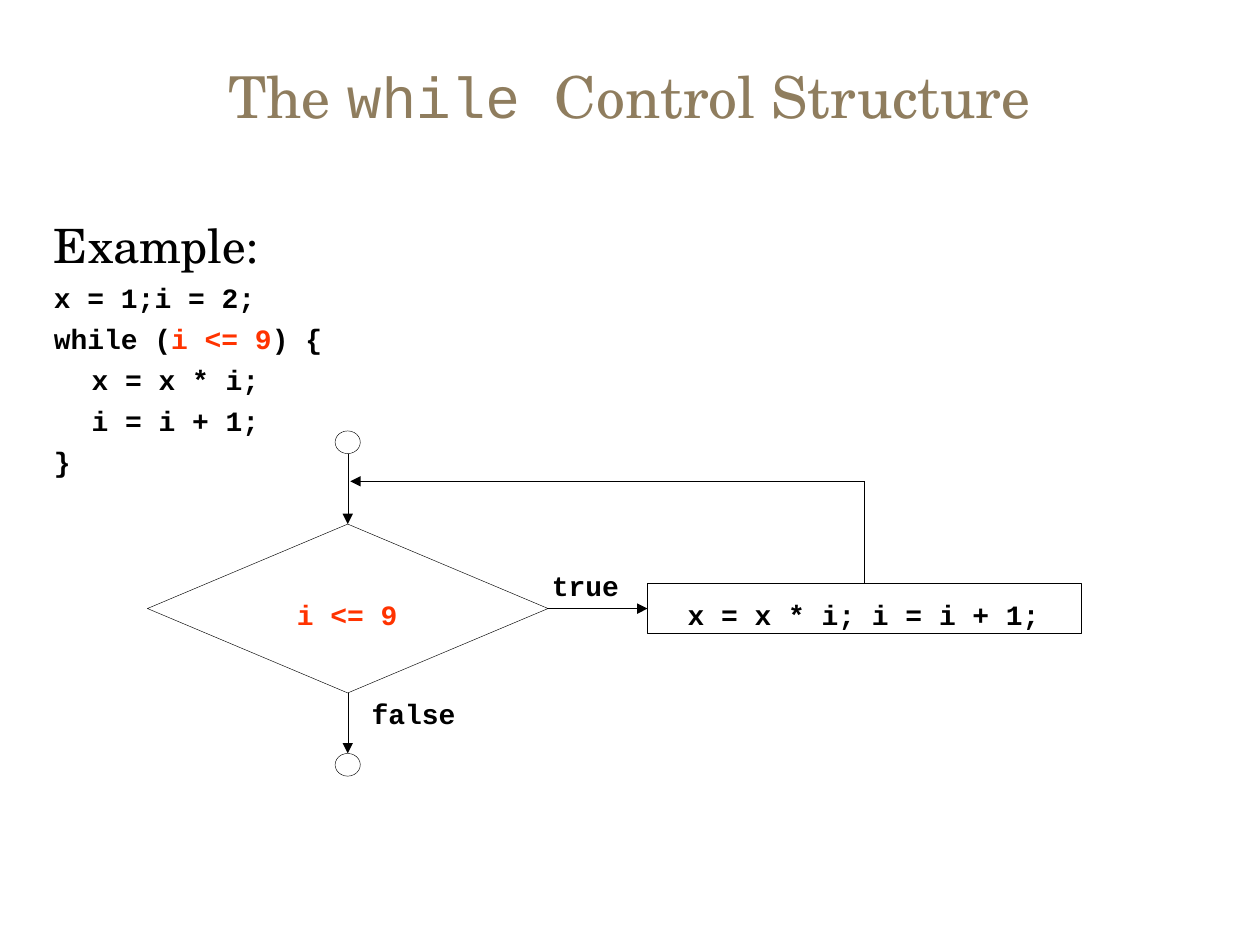
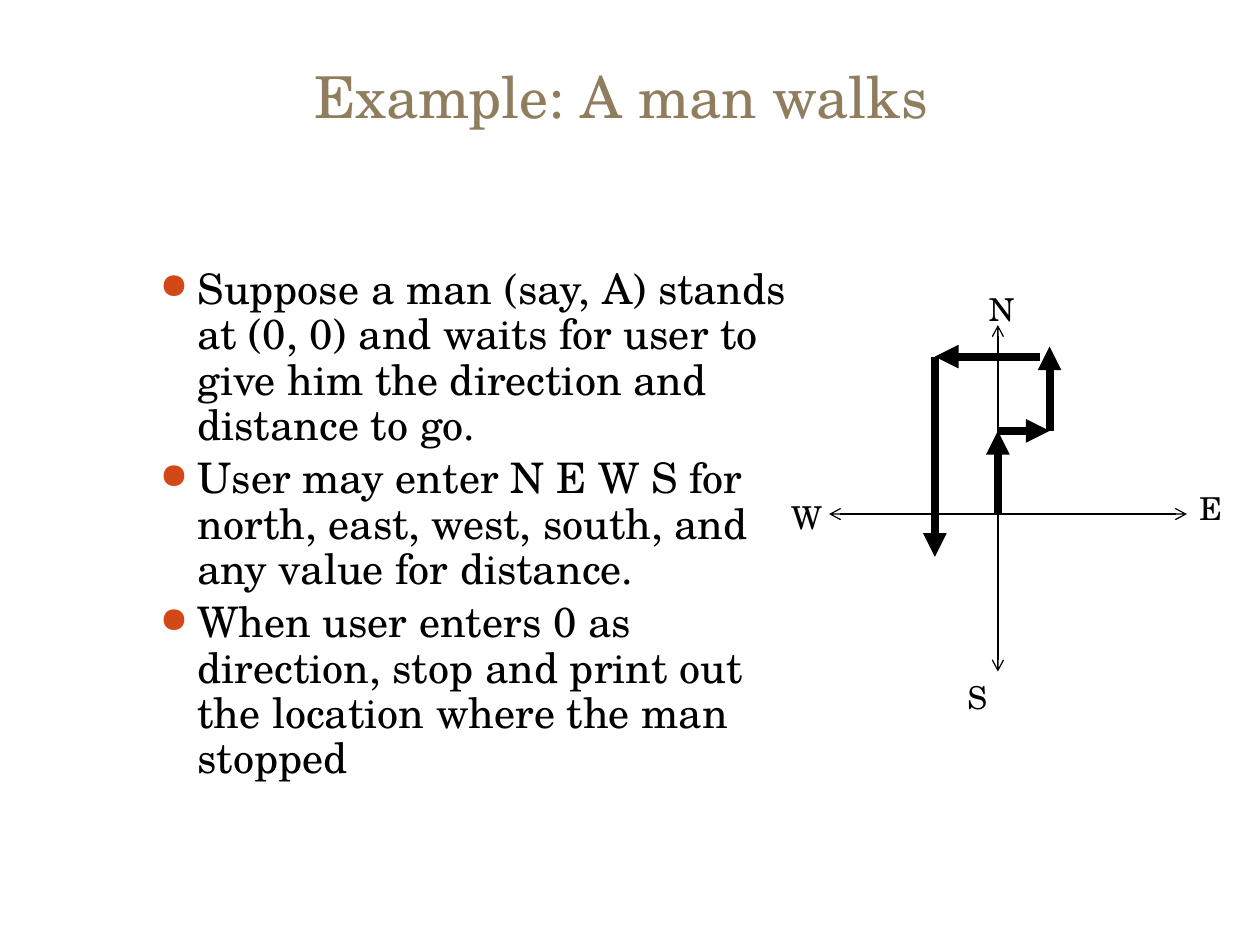
from lxml import etree
from pptx import Presentation
from pptx.dml.color import RGBColor
from pptx.enum.shapes import MSO_CONNECTOR, MSO_SHAPE
from pptx.enum.text import MSO_ANCHOR as Anchor, PP_ALIGN as Align
from pptx.oxml.ns import qn
from pptx.util import Inches, Pt

color = RGBColor.from_string
BLACK, WHITE, TITLE, ACCENT, BULLET = "000000", "FFFFFF", "8F7D5E", "FF3300", "D34817"
SERIF, MONO = "TeX Gyre Schola", "Courier New"

title_format = {"name": SERIF, "size": Pt(33)}
heading_format = {"name": SERIF, "size": Pt(27)}
body_format = {"name": SERIF, "size": Pt(24)}
compass_format = {"name": SERIF, "size": Pt(18)}
code_format = {"name": MONO, "size": Pt(16), "bold": True}
title_box = (0.33, 0.25, 9.33, 0.83)


def add_text(slide, box, paragraphs, margin=None, anchor=Anchor.TOP, **layout):
    """Each paragraph is a list of runs: (text, colour, font format)."""
    shape = slide.shapes.add_textbox(*map(Inches, box))
    frame = shape.text_frame
    frame.word_wrap = True
    frame.vertical_anchor = anchor
    if margin is not None:
        for side in ("left", "top", "right", "bottom"):
            setattr(frame, f"margin_{side}", Inches(margin))
    for index, runs in enumerate(paragraphs):
        paragraph = frame.add_paragraph() if index else frame.paragraphs[0]
        for name, value in layout.items():
            if index or name != "space_before":
                setattr(paragraph, name, value)
        for text, hex_color, font_format in runs:
            run = paragraph.add_run()
            run.text = text
            run.font.color.rgb = color(hex_color)
            for name, value in font_format.items():
                setattr(run.font, name, value)
    return frame


def add_line(slide, start, end, width, head=None, tail=None):
    line = slide.shapes.add_connector(
        MSO_CONNECTOR.STRAIGHT, *map(Inches, (*start, *end)))
    line.line.color.rgb = color(BLACK)
    line.line.width = Pt(width)
    outline = line.line._get_or_add_ln()
    for tag, kind in (("a:headEnd", head), ("a:tailEnd", tail)):
        if kind:
            etree.SubElement(outline, qn(tag), type=kind)
    etree.SubElement(line._element.spPr, qn("a:effectLst"))
    return line


presentation = Presentation()
presentation.slide_width, presentation.slide_height = Inches(10), Inches(7.5)
blank_layout = presentation.slide_layouts[6]

# Both slides: title and hanging-indent body text
contents = [
    {
        "title": [("The ", TITLE, title_format),
                  ("while ", TITLE, {**title_format, "name": MONO}),
                  ("Control Structure", TITLE, title_format)],
        "box": (0.33, 1.67, 9.3, 5),
        "layout": {"space_before": Pt(4.2)},
        "bulleted": False,
        "body": [
            [("Example:", BLACK, heading_format)],
            [("x = 1;\ti = 2;", BLACK, code_format)],
            [("while (", BLACK, code_format), ("i <= 9", ACCENT, code_format),
             (") {", BLACK, code_format)],
            [("\tx = x * i;", BLACK, code_format)],
            [("\ti = i + 1;", BLACK, code_format)],
            [("}", BLACK, code_format)],
        ],
    },
    {
        "title": [("Example: A man walks ", TITLE, title_format)],
        "box": (1.17, 2.08, 5.17, 5),
        "layout": {"space_before": Pt(4.5), "line_spacing": 0.9},
        "bulleted": True,
        "body": [[(text, BLACK, body_format)] for text in (
            "Suppose a man (say, A) stands at (0, 0) and waits for user to give him "
            "the direction and distance to go.",
            "User may enter N E W S for north, east, west, south, and any value for "
            "distance.",
            "When user enters 0 as direction, stop and print out the location where "
            "the man stopped",
        )],
    },
]
slides = []
for content in contents:
    slide = presentation.slides.add_slide(blank_layout)
    slides.append(slide)
    add_text(slide, title_box, [content["title"]], anchor=Anchor.BOTTOM,
             alignment=Align.CENTER)
    frame = add_text(slide, content["box"], content["body"], **content["layout"])
    for paragraph in frame.paragraphs:
        properties = paragraph._p.get_or_add_pPr()
        properties.set("marL", str(Inches(0.3)))
        properties.set("indent", str(-Inches(0.3)))
        if content["bulleted"]:
            bullet_color = etree.SubElement(properties, qn("a:buClr"))
            etree.SubElement(bullet_color, qn("a:srgbClr"), val=BULLET)
            etree.SubElement(properties, qn("a:buSzPct"), val="85000")
            etree.SubElement(properties, qn("a:buChar"), char="●")
while_slide, walk_slide = slides

# Flowchart nodes
flow_x, loop_x, loop_y = 2.76, 6.86, 3.82
nodes = {}
for name, kind, box in (
    ("condition", MSO_SHAPE.DIAMOND, (1.17, 4.16, 3.18, 1.34)),
    ("start", MSO_SHAPE.OVAL, (flow_x - 0.1, 3.42, 0.2, 0.18)),
    ("end", MSO_SHAPE.OVAL, (flow_x - 0.1, 5.98, 0.2, 0.18)),
    ("loop body", MSO_SHAPE.RECTANGLE, (5.14, 4.63, 3.44, 0.4)),
):
    shape = while_slide.shapes.add_shape(kind, *map(Inches, box))
    shape.shadow.inherit = False
    shape.fill.solid()
    shape.fill.fore_color.rgb = color(WHITE)
    shape.line.color.rgb = color(BLACK)
    shape.line.width = Pt(0.25)
    nodes[name] = shape

# Flowchart arrows, joined to the nodes where they touch
TOP, LEFT, BOTTOM, RIGHT = range(4)
for start, end, tail, begin_join, end_join in (
    ((flow_x, 3.6), (flow_x, 4.16), "triangle", None, ("condition", TOP)),
    ((flow_x, 5.5), (flow_x, 5.98), "triangle", ("condition", BOTTOM), ("end", TOP)),
    ((4.35, 4.83), (5.14, 4.83), "triangle", ("condition", RIGHT), ("loop body", LEFT)),
    ((loop_x, 4.63), (loop_x, loop_y), None, ("loop body", TOP), None),
    ((loop_x, loop_y), (2.78, loop_y), "triangle", None, None),
):
    line = add_line(while_slide, start, end, 0.25, tail=tail)
    if begin_join:
        line.begin_connect(nodes[begin_join[0]], begin_join[1])
    if end_join:
        line.end_connect(nodes[end_join[0]], end_join[1])

# Flowchart labels
for text, box, hex_color, alignment in (
    ("i <= 9", (1.55, 4.74, 2.41, 0.29), ACCENT, Align.CENTER),
    ("x = x * i; i = i + 1;", (5.2, 4.74, 3.31, 0.31), BLACK, Align.CENTER),
    ("true", (4.38, 4.51, 0.7, 0.37), BLACK, Align.LEFT),
    ("false", (2.95, 5.53, 0.86, 0.37), BLACK, Align.LEFT),
):
    add_text(while_slide, box, [[(text, hex_color, code_format)]], margin=0,
             alignment=alignment)

# Compass axes and their letters
origin_x, origin_y = 7.92, 4.08
for start, end in (
    ((origin_x, 2.58), (origin_x, 5.33)),
    ((6.58, origin_y), (9.42, origin_y)),
):
    add_line(walk_slide, start, end, 0.75, head="arrow", tail="arrow")
for letter, left, top in (
    ("N", 7.75, 2.25), ("E", 9.42, 3.83), ("S", 7.58, 5.33), ("W", 6.18, 3.9),
):
    add_text(walk_slide, (left, top, 0.58, 0.4), [[(letter, BLACK, compass_format)]])

# The man's walk
for start, end in (
    ((origin_x, origin_y), (origin_x, 3.42)),
    ((origin_x, 3.42), (8.33, 3.42)),
    ((8.33, 3.42), (8.33, 2.75)),
    ((8.25, 2.83), (7.42, 2.83)),
    ((7.42, 2.83), (7.42, 4.42)),
):
    add_line(walk_slide, start, end, 4.5, tail="triangle")

presentation.save("out.pptx")
